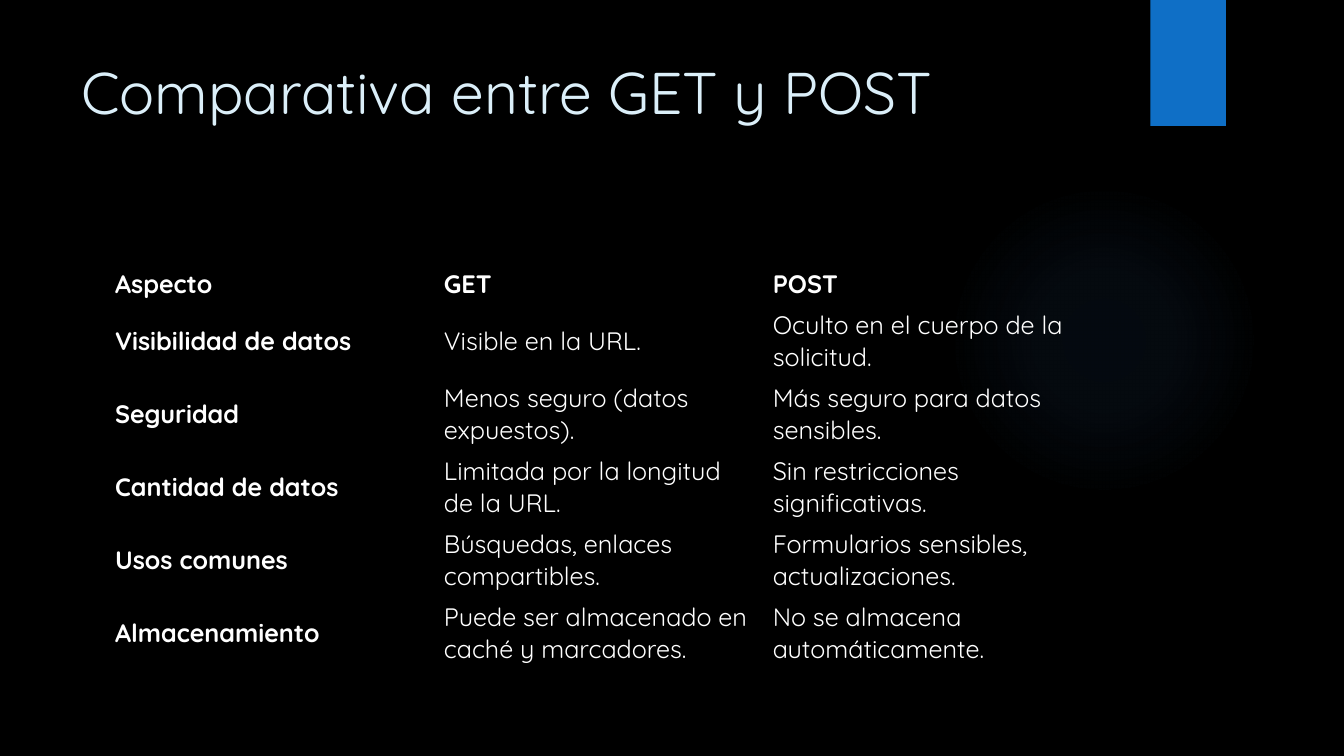
import pptx
import pptx.dml.color
import pptx.enum.shapes
import pptx.enum.text
import pptx.oxml
import pptx.oxml.ns
import pptx.util

COMPARISON = [
    ("Aspecto", "GET", "POST"),
    ("Visibilidad de datos", "Visible en la URL.", "Oculto en el cuerpo de la solicitud."),
    ("Seguridad", "Menos seguro (datos expuestos).", "Más seguro para datos sensibles."),
    ("Cantidad de datos", "Limitada por la longitud de la URL.", "Sin restricciones significativas."),
    ("Usos comunes", "Búsquedas, enlaces compartibles.", "Formularios sensibles, actualizaciones."),
    ("Almacenamiento", "Puede ser almacenado en caché y marcadores.", "No se almacena automáticamente."),
]
PLAIN_TABLE = "{2D5ABB26-0587-4C30-8999-92F81FD0307C}"
SHAPE = pptx.enum.shapes.MSO_SHAPE
ANCHOR = pptx.enum.text.MSO_ANCHOR


def rgb(value):
    return pptx.dml.color.RGBColor.from_string(value)


class Deck:
    font = "Quicksand"
    columns, rows = 160, 90

    def __init__(self, width, height, background):
        self.prs = pptx.Presentation()
        self.prs.slide_width = pptx.util.Inches(width)
        self.prs.slide_height = pptx.util.Inches(height)
        self.s = self.prs.slides.add_slide(self.prs.slide_layouts[6])
        self.s.background.fill.solid()
        self.s.background.fill.fore_color.rgb = rgb(background)

    def x(self, columns):
        return round(self.prs.slide_width * columns / self.columns)

    def y(self, rows):
        return round(self.prs.slide_height * rows / self.rows)

    def box(self, left, top, width, height):
        return self.x(left), self.y(top), self.x(width), self.y(height)

    def style(self, p, size, color, bold=False):
        p.font.name = self.font
        p.font.size = pptx.util.Pt(size)
        p.font.color.rgb = rgb(color)
        p.font.bold = bold

    def shape(self, kind, place, color):
        sp = self.s.shapes.add_shape(kind, *self.box(*place))
        sp.shadow.inherit = False
        sp.fill.solid()
        sp.fill.fore_color.rgb = rgb(color)
        sp.line.fill.background()
        return sp

    def glow(self, place, color, stops):
        sp = self.shape(SHAPE.OVAL, place, color)
        marks = "".join(
            f'<a:gs pos="{pos * 1000}"><a:srgbClr val="{color}">'
            f'<a:alpha val="{alpha * 1000}"/></a:srgbClr></a:gs>'
            for pos, alpha in stops
        )
        gradient = pptx.oxml.parse_xml(
            f'<a:gradFill {pptx.oxml.ns.nsdecls("a")}><a:gsLst>{marks}</a:gsLst>'
            '<a:path path="circle"><a:fillToRect l="50000" t="50000" r="50000" b="50000"/>'
            '</a:path></a:gradFill>'
        )
        sp_pr = sp.element.spPr
        sp_pr.replace(sp_pr.find(pptx.oxml.ns.qn("a:solidFill")), gradient)

    def text(self, place, wording, size, color):
        tf = self.s.shapes.add_textbox(*self.box(*place)).text_frame
        tf.word_wrap = True
        p = tf.paragraphs[0]
        p.text = wording
        self.style(p, size, color)

    def table(self, left, top, column, header, row, data, size, color):
        place = left, top, column * len(data[0]), header + row * (len(data) - 1)
        frame = self.s.shapes.add_table(len(data), len(data[0]), *self.box(*place))
        table = frame.table
        table.first_row = table.horz_banding = False
        table._tbl.tblPr.find(pptx.oxml.ns.qn("a:tableStyleId")).text = PLAIN_TABLE
        for col in table.columns:
            col.width = self.x(column)
        for i, wordings in enumerate(data):
            table.rows[i].height = self.y(row if i else header)
            for j, wording in enumerate(wordings):
                cell = table.cell(i, j)
                cell.fill.background()
                cell.vertical_anchor = ANCHOR.MIDDLE
                cell.text = wording
                self.style(cell.text_frame.paragraphs[0], size, color, i == 0 or j == 0)


def main():
    deck = Deck(13.333, 7.5, "000000")
    deck.glow((112.9, 22, 37, 37), "448AD7", [(0, 7), (36, 6), (69, 0)])
    deck.shape(SHAPE.RECTANGLE, (136.95, 0, 9, 15), "0F6FC6")
    deck.text((8.5, 6, 123.5, 18.4), "Comparativa entre GET y POST", 42, "DBEFF9")
    deck.table(12.5, 31.3, 39.15, 4.95, 8.7, COMPARISON, 18, "FFFFFF")
    deck.prs.save("out.pptx")


if __name__ == "__main__":
    main()
